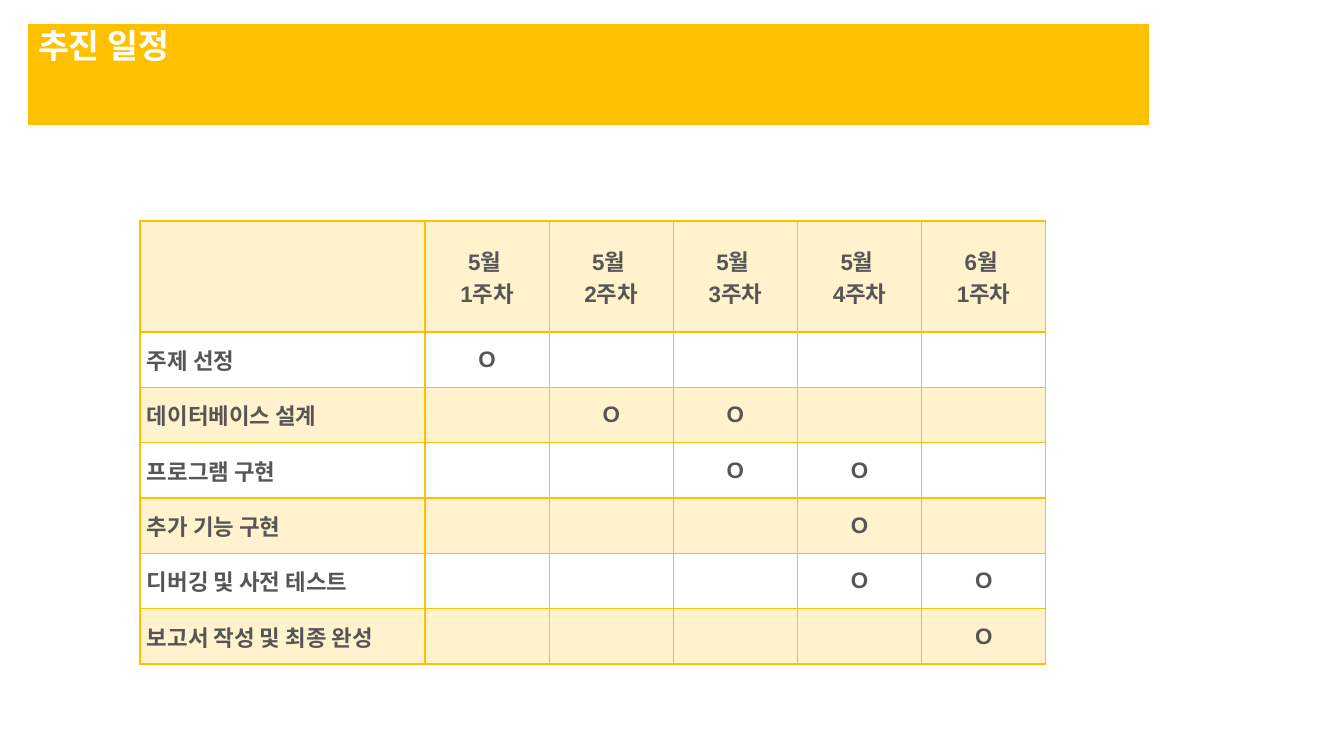
"""Build the project schedule slide with its title bar and week table."""
from dataclasses import dataclass

import lxml.etree
import pptx
import pptx.dml.color
import pptx.enum.text
import pptx.oxml.ns
import pptx.util

TITLE = "추진 일정"
WEEKS = [("5월 ", "1주차"), ("5월 ", "2주차"), ("5월 ", "3주차"), ("5월 ", "4주차"), ("6월 ", "1주차")]
TASKS = [
    ("주제 선정", {1}),
    ("데이터베이스 설계", {2, 3}),
    ("프로그램 구현", {3, 4}),
    ("추가 기능 구현", {4}),
    ("디버깅 및 사전 테스트", {4, 5}),
    ("보고서 작성 및 최종 완성", {5}),
]
MARK = "O"

SLIDE_SIZE = (1344, 756)
TITLE_BOX = (28, 24, 1121, 101)
TABLE_BOX = (140, 221, 906, 443)
TASK_WIDTH = 285
HEADER_HEIGHT = 111
CELL_INSET = 7
EMU_PER_PX = 914400 / 100.8


@dataclass(frozen=True)
class Theme:
    accent: str = "FFC000"
    band: str = "FFF2CC"
    white: str = "FFFFFF"
    ink: str = "565656"
    latin: str = "Arial"
    korean: str = "Noto Sans CJK KR"
    title_size: int = 24
    cell_size: int = 16
    thin: int = 1
    thick: int = 2


THEME = Theme()
ALIGN = pptx.enum.text.PP_ALIGN
ANCHOR = pptx.enum.text.MSO_ANCHOR


def px(length):
    return pptx.util.Emu(round(length * EMU_PER_PX))


def paint(fill, color):
    fill.solid()
    fill.fore_color.rgb = pptx.dml.color.RGBColor.from_string(color)


def write(frame, lines, size=THEME.cell_size, color=THEME.ink, latin=THEME.latin,
          align=ALIGN.LEFT, spacing=1.0):
    for index, line in enumerate(lines):
        para = frame.paragraphs[0] if index == 0 else frame.add_paragraph()
        para.alignment = align
        para.line_spacing = spacing
        span = para.add_run()
        span.text = line
        span.font.size = pptx.util.Pt(size)
        span.font.bold = True
        span.font.color.rgb = pptx.dml.color.RGBColor.from_string(color)
        span.font.name = latin
        east_asian = lxml.etree.SubElement(span.font._element, pptx.oxml.ns.qn("a:ea"))
        east_asian.set("typeface", THEME.korean)


def add_borders(cell, top, bottom):
    properties = cell._tc.get_or_add_tcPr()
    widths = {"lnL": THEME.thin, "lnR": THEME.thin, "lnT": top, "lnB": bottom}
    for index, (side, width) in enumerate(widths.items()):
        line = lxml.etree.Element(pptx.oxml.ns.qn(f"a:{side}"), w=str(pptx.util.Pt(width)))
        fill = lxml.etree.SubElement(line, pptx.oxml.ns.qn("a:solidFill"))
        lxml.etree.SubElement(fill, pptx.oxml.ns.qn("a:srgbClr"), val=THEME.accent)
        properties.insert(index, line)


def add_title(page):
    title = page.shapes.title
    title.left, title.top, title.width, title.height = map(px, TITLE_BOX)
    paint(title.fill, THEME.accent)
    frame = title.text_frame
    frame.auto_size = pptx.enum.text.MSO_AUTO_SIZE.NONE
    frame.vertical_anchor = ANCHOR.TOP
    write(frame, [TITLE], size=THEME.title_size, color=THEME.white,
          latin=THEME.korean, spacing=0.9)


def add_schedule(page):
    week_numbers = range(1, len(WEEKS) + 1)
    grid = [[()] + WEEKS]
    for task, active in TASKS:
        grid.append([(task,)] + [(MARK,) if week in active else () for week in week_numbers])

    table = page.shapes.add_table(len(grid), len(grid[0]), *map(px, TABLE_BOX)).table
    table.first_row = table.horz_banding = False
    width, height = TABLE_BOX[2:]
    for index, column in enumerate(table.columns):
        column.width = px((width - TASK_WIDTH) / len(WEEKS) if index else TASK_WIDTH)
    for index, row in enumerate(table.rows):
        row.height = px((height - HEADER_HEIGHT) / len(TASKS) if index else HEADER_HEIGHT)

    for row_index, row in enumerate(grid):
        for column_index, lines in enumerate(row):
            cell = table.cell(row_index, column_index)
            cell.margin_left = cell.margin_right = px(CELL_INSET)
            cell.margin_top = cell.margin_bottom = 0
            cell.vertical_anchor = ANCHOR.MIDDLE
            paint(cell.fill, THEME.white if row_index % 2 else THEME.band)
            add_borders(cell,
                        top=THEME.thick if row_index == 1 else THEME.thin,
                        bottom=THEME.thick if row_index == 0 else THEME.thin)
            write(cell.text_frame, lines, align=ALIGN.CENTER if column_index else ALIGN.LEFT)


def main():
    deck = pptx.Presentation()
    deck.slide_width, deck.slide_height = map(px, SLIDE_SIZE)
    page = deck.slides.add_slide(deck.slide_layouts.get_by_name("Title Only"))
    add_schedule(page)
    add_title(page)
    deck.save("out.pptx")


if __name__ == "__main__":
    main()
